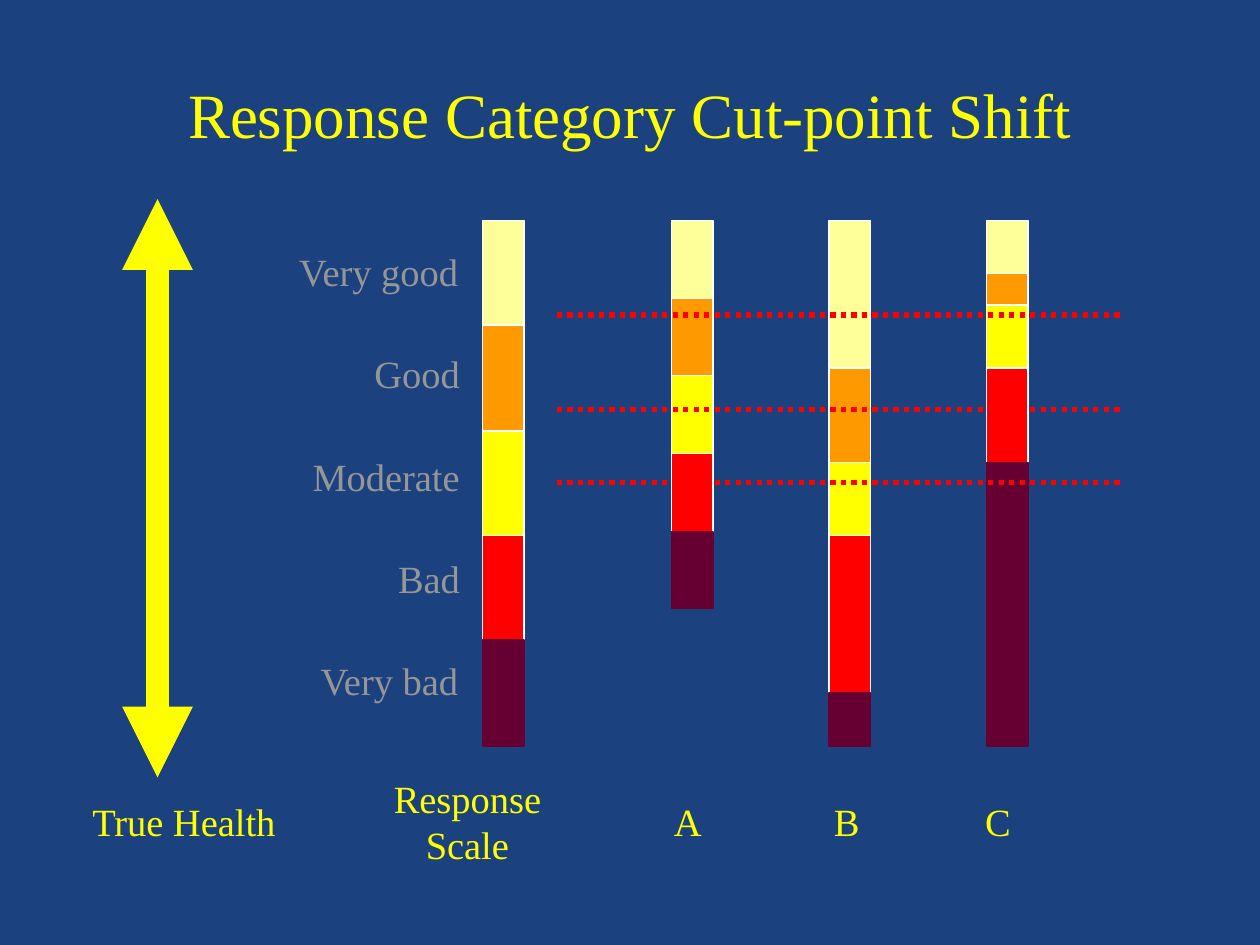
from itertools import pairwise

from lxml.etree import SubElement
from pptx import Presentation
from pptx.dml.color import RGBColor
from pptx.enum.dml import MSO_LINE
from pptx.enum.shapes import MSO_CONNECTOR, MSO_SHAPE
from pptx.enum.text import MSO_ANCHOR, PP_ALIGN
from pptx.oxml.ns import qn
from pptx.util import Inches, Pt

FONT = "Times New Roman"
NAVY = RGBColor(0x1B, 0x41, 0x7F)
WHITE = RGBColor(0xFF, 0xFF, 0xFF)
GREY = RGBColor(0x96, 0x96, 0x96)
CREAM = RGBColor(0xFF, 0xFF, 0x99)
ORANGE = RGBColor(0xFF, 0x99, 0x00)
YELLOW = RGBColor(0xFF, 0xFF, 0x00)
RED = RGBColor(0xFF, 0x00, 0x00)
MAROON = RGBColor(0x66, 0x00, 0x33)

CATEGORY_COLORS = [CREAM, ORANGE, YELLOW, RED, MAROON]
BAR_WIDTH = 0.33
# Left edge of each bar and its category cut-points from top to bottom
BARS = [
    (3.83, [1.75, 2.58, 3.42, 4.25, 5.08, 5.92]),
    (5.33, [1.75, 2.37, 2.98, 3.6, 4.22, 4.83]),
    (6.58, [1.75, 2.92, 3.67, 4.25, 5.5, 5.92]),
    (7.83, [1.75, 2.17, 2.42, 2.92, 3.67, 5.92]),
]
CUT_LINES = [2.5, 3.25, 3.83]

# Category names with the widths of their boxes
CATEGORIES = [("Very good", 1.49), ("Good", 0.88), ("Moderate", 1.37),
              ("Bad", 0.69), ("Very bad", 1.32)]
CATEGORY_RIGHT, CATEGORY_TOP, CATEGORY_STEP = 3.75, 1.92, 0.81

LABEL_HEIGHT = 0.47
AXIS_TOP = 6.28
GROUP_TABS = [1.27, 2.47]


def add_text(page, text, left, top, width, height=LABEL_HEIGHT, color=YELLOW,
             size=22, align=PP_ALIGN.CENTER, wrap=False):
    box = page.shapes.add_textbox(Inches(left), Inches(top), Inches(width), Inches(height))
    frame = box.text_frame
    frame.word_wrap = wrap
    frame.vertical_anchor = MSO_ANCHOR.MIDDLE
    para = frame.paragraphs[0]
    para.text = text
    para.alignment = align
    para.font.name = FONT
    para.font.size = Pt(size)
    para.font.color.rgb = color
    return para


def set_tab_stops(para, stops):
    # Tab stops come before the default run properties in a:pPr
    properties = para._p.get_or_add_pPr()
    tab_list = SubElement(properties, qn("a:tabLst"))
    for stop in stops:
        SubElement(tab_list, qn("a:tab"), pos=str(Inches(stop)), algn="l")
    defaults = properties.find(qn("a:defRPr"))
    if defaults is not None:
        defaults.addprevious(tab_list)


def add_line(page, start, end, color, width):
    line = page.shapes.add_connector(MSO_CONNECTOR.STRAIGHT, *map(Inches, start + end))
    line.line.color.rgb = color
    line.line.width = Pt(width)
    SubElement(line._element.spPr, qn("a:effectLst"))
    return line


def add_health_arrow(page):
    arrow = add_line(page, (1.25, 1.58), (1.25, 6.17), YELLOW, 13.5)
    outline = arrow.line._get_or_add_ln()
    for end in ("a:headEnd", "a:tailEnd"):
        SubElement(outline, qn(end), type="triangle")


def add_bar(page, left, cuts):
    """Stack one rectangle per category between successive cut-points."""
    for color, (top, bottom) in zip(CATEGORY_COLORS, pairwise(cuts)):
        segment = page.shapes.add_shape(
            MSO_SHAPE.RECTANGLE, Inches(left), Inches(top),
            Inches(BAR_WIDTH), Inches(bottom - top))
        segment.shadow.inherit = False
        segment.fill.solid()
        segment.fill.fore_color.rgb = color
        segment.line.color.rgb = MAROON if color == MAROON else WHITE
        segment.line.width = Pt(1)


def main():
    deck = Presentation()
    deck.slide_width, deck.slide_height = Inches(10), Inches(7.5)
    page = deck.slides.add_slide(deck.slide_layouts[6])
    page.background.fill.solid()
    page.background.fill.fore_color.rgb = NAVY

    add_text(page, "Response Category Cut-point Shift", 0.75, 0.27, 8.5, 1.25,
             size=36, wrap=True)
    add_health_arrow(page)
    for left, cuts in BARS:
        add_bar(page, left, cuts)
    for row, (name, width) in enumerate(CATEGORIES):
        add_text(page, name, CATEGORY_RIGHT - width,
                 CATEGORY_TOP + row * CATEGORY_STEP, width, color=GREY)
    for height in CUT_LINES:
        cut_line = add_line(page, (4.42, height), (8.92, height), RED, 3)
        cut_line.line.dash_style = MSO_LINE.ROUND_DOT

    add_text(page, "True Health", 0.63, AXIS_TOP, 1.66)
    add_text(page, "Response Scale", 2.66, AXIS_TOP, 2.1)
    groups = add_text(page, "A\tB\tC", 5.25, AXIS_TOP, 3.58,
                      align=PP_ALIGN.LEFT, wrap=True)
    set_tab_stops(groups, GROUP_TABS)
    deck.save("out.pptx")


if __name__ == "__main__":
    main()
